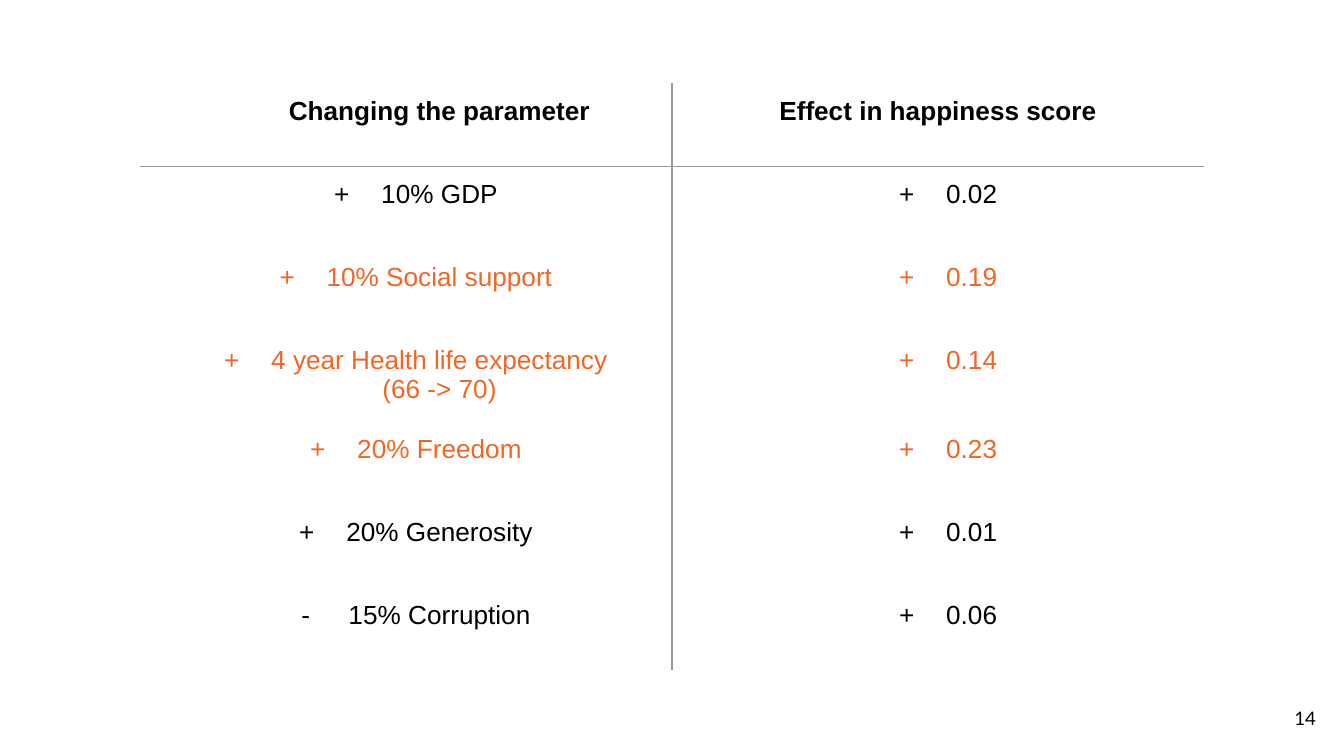
from lxml import etree
from pptx import Presentation
from pptx.dml.color import RGBColor
from pptx.enum.text import MSO_ANCHOR, PP_ALIGN
from pptx.oxml.ns import qn
from pptx.util import Inches, Pt

CENTER, RIGHT = PP_ALIGN.CENTER, PP_ALIGN.RIGHT
TOP, MIDDLE = MSO_ANCHOR.TOP, MSO_ANCHOR.MIDDLE
BLACK, ORANGE, GRAY = "000000", "F46524", "999999"
HEADERS = ("Changing the parameter", "Effect in happiness score")
ROWS = [
    ("+", ["10% GDP"], "0.02", BLACK),
    ("+", ["10% Social support"], "0.19", ORANGE),
    ("+", ["4 year Health life expectancy", "(66 -> 70)"], "0.14", ORANGE),
    ("+", ["20% Freedom"], "0.23", ORANGE),
    ("+", ["20% Generosity"], "0.01", BLACK),
    ("-", ["15% Corruption"], "0.06", BLACK),
]


def rgb(value):
    """Turn a hex string into a colour."""
    return RGBColor.from_string(value)


def write(p, text, size=14, font="Arial", color=BLACK, bold=False,
          align=CENTER, indent=0, bullet=None):
    """Write formatted text into a paragraph."""
    p.alignment = align
    r = p.add_run()
    r.text = text
    r.font.size, r.font.name, r.font.bold = Pt(size), font, bold
    r.font.color.rgb = rgb(color)
    pPr = p._p.get_or_add_pPr()
    pPr.set("marL", str(Inches(indent)))
    pPr.set("indent", str(Inches(-0.35 if bullet else 0)))
    if bullet:
        clr = etree.SubElement(pPr, qn("a:buClr"))
        etree.SubElement(clr, qn("a:srgbClr"), val=color)
        etree.SubElement(pPr, qn("a:buFont"), typeface=font)
        etree.SubElement(pPr, qn("a:buChar"), char=bullet)
    else:
        etree.SubElement(pPr, qn("a:buNone"))


def set_margins(box):
    """Give a cell or text frame equal margins."""
    box.margin_left = box.margin_right = Inches(0.1)
    box.margin_top = box.margin_bottom = Inches(0.1)


def set_borders(cell, sides):
    """Draw the named sides of a cell and clear the others."""
    tcPr = cell._tc.get_or_add_tcPr()
    for side in "LRTB":
        ln = etree.SubElement(tcPr, qn(f"a:ln{side}"), w=str(Pt(0.75)))
        if side in sides:
            fill = etree.SubElement(ln, qn("a:solidFill"))
            etree.SubElement(fill, qn("a:srgbClr"), val=GRAY)
        else:
            etree.SubElement(ln, qn("a:noFill"))


def fill_cell(cell, lines, sides, bullet=None, indent=0.5, **style):
    """Fill a cell with lines of text, the first one bulleted."""
    set_margins(cell)
    set_borders(cell, sides)
    cell.fill.background()
    cell.vertical_anchor = TOP
    tf = cell.text_frame
    for i, line in enumerate(lines):
        p = tf.add_paragraph() if i else tf.paragraphs[0]
        write(p, line, indent=indent, bullet=None if i else bullet, **style)


def add_effects_table(s, left, top, size, col_width, row_height):
    """Add the table of parameter changes and their effects."""
    frame = s.shapes.add_table(len(ROWS) + 1, 2, Inches(left), Inches(top),
                               Inches(size), Inches(size))
    table = frame.table
    table.first_row = table.horz_banding = False
    for column in table.columns:
        column.width = Inches(col_width)
    for row in table.rows:
        row.height = Inches(row_height)
    frame.width = frame.height = Inches(size)
    for col, header in enumerate(HEADERS):
        fill_cell(table.cell(0, col), [header], "RL"[col] + "B",
                  indent=0 if col else 0.5, bold=True)
    for row, (sign, lines, effect, color) in enumerate(ROWS, 1):
        edge = "T" if row == 1 else ""
        fill_cell(table.cell(row, 0), lines, "R" + edge, sign, color=color)
        fill_cell(table.cell(row, 1), [effect], "L" + edge, "+", color=color)


def add_page_number(s, left, top, width, height):
    """Add the page number."""
    sp = s.shapes.add_textbox(Inches(left), Inches(top), Inches(width), Inches(height))
    tf = sp.text_frame
    tf.word_wrap = True
    tf.vertical_anchor = MIDDLE
    set_margins(tf)
    write(tf.paragraphs[0], "14", size=10, font="Lato", align=RIGHT)


def main():
    """Build the slide and save it."""
    prs = Presentation()
    prs.slide_width, prs.slide_height = Inches(10), Inches(10 * 9 / 16)
    s = prs.slides.add_slide(prs.slide_layouts[6])
    add_page_number(s, 9.29, 5.13, 0.6, 0.43)
    add_effects_table(s, 1.04, 0.62, 3.28, 3.96, 4.32 / 7)
    prs.save("out.pptx")


if __name__ == "__main__":
    main()
